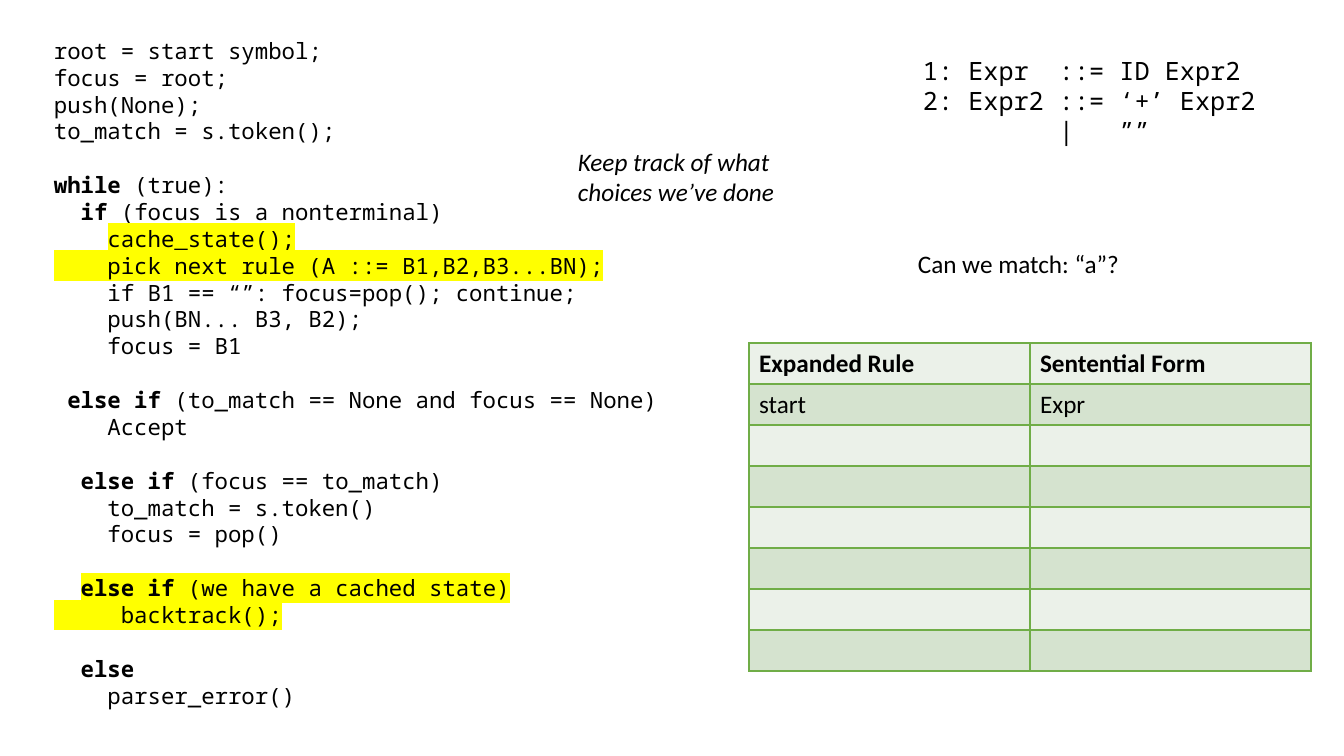
from lxml import etree
from pptx import Presentation
from pptx import util as u
from pptx.dml.color import RGBColor
from pptx.oxml import ns

MONO, SANS = "Noto Sans Mono", "Calibri"
PLAIN, BOLD = {}, {"bold": True}
MARK, BOLD_MARK = {"mark": "FFFF00"}, {"bold": True, "mark": "FFFF00"}

# Blocks of code, set apart by a one-line gap; a line is a list of (text, format).
CODE = [
    [
        [("root = start symbol;", PLAIN)],
        [("focus = root;", PLAIN)],
        [("push(None);", PLAIN)],
        [("to_match = s.token();", PLAIN)],
    ],
    [
        [("while", BOLD), (" (true):", PLAIN)],
        [("  ", PLAIN), ("if", BOLD), (" (focus is a nonterminal)", PLAIN)],
        [("    ", PLAIN), ("cache_state();", MARK)],
        [("    pick next rule (A ::= B1,B2,B3...BN);", MARK)],
        [("    if B1 == “”: focus=pop(); continue;", PLAIN)],
        [("    push(BN... B3, B2);", PLAIN)],
        [("    focus = B1", PLAIN)],
    ],
    [
        [(" else if ", BOLD), ("(to_match == None and focus == None)", PLAIN)],
        [("    Accept", PLAIN)],
    ],
    [
        [("  else if ", BOLD), ("(focus == to_match)", PLAIN)],
        [("    to_match = s.token()", PLAIN)],
        [("    focus = pop()", PLAIN)],
    ],
    [
        [("  ", PLAIN), ("else if ", BOLD_MARK), ("(we have a cached state)", MARK)],
        [("     backtrack();", MARK)],
    ],
    [
        [("  else", BOLD)],
        [("    parser_error()", PLAIN)],
    ],
]
GRAMMAR = [[
    [("1: Expr  ::= ID Expr2", PLAIN)],
    [("2: Expr2 ::= ‘+’ Expr2", PLAIN)],
    [("         |   ””", PLAIN)],
]]
RULES = [("Expanded Rule", "Sentential Form"), ("start", "Expr")] + [("", "")] * 6


def px(n):
    return u.Emu(round(n * 914400 / 100.8))


def rgb(value):
    return RGBColor.from_string(value)


def add_run(p, content, size=18, font=SANS, color="000000", bold=False,
            italic=False, mark=None):
    r = p.add_run()
    r.text = content
    f = r.font
    f.size, f.name, f.bold, f.italic = u.Pt(size), font, bold, italic
    f.color.rgb = rgb(color)
    if mark:
        highlight = etree.Element(ns.qn("a:highlight"))
        etree.SubElement(highlight, ns.qn("a:srgbClr"), val=mark)
        r._r.rPr.find(ns.qn("a:solidFill")).addnext(highlight)


def set_borders(cell, color, width):
    tcPr = cell._tc.get_or_add_tcPr()
    for i, side in enumerate(("lnL", "lnR", "lnT", "lnB")):
        ln = etree.Element(ns.qn(f"a:{side}"), w=str(u.Pt(width)))
        fill = etree.SubElement(ln, ns.qn("a:solidFill"))
        etree.SubElement(fill, ns.qn("a:srgbClr"), val=color)
        tcPr.insert(i, ln)


class Deck:
    border = "70AD47"
    bands = ("EBF1E9", "D5E3CF")

    def __init__(self):
        self.prs = Presentation()
        self.prs.slide_width, self.prs.slide_height = px(1344), px(756)
        self.s = self.prs.slides.add_slide(self.prs.slide_layouts[6])

    def frame(self, x, y, w, h, wrap=True):
        tf = self.s.shapes.add_textbox(px(x), px(y), px(w), px(h)).text_frame
        tf.word_wrap = wrap
        return tf

    def note(self, x, y, w, h, content, wrap=True, **fmt):
        add_run(self.frame(x, y, w, h, wrap).paragraphs[0], content, **fmt)

    def code(self, x, y, w, h, blocks, size, pitch):
        """Set blocks of code with a fixed line pitch in points."""
        tf = self.frame(x, y, w, h)
        p = tf.paragraphs[0]
        for b, block in enumerate(blocks):
            for n, line in enumerate(block):
                if b or n:
                    p = tf.add_paragraph()
                p.line_spacing = u.Pt(pitch)
                if b and not n:
                    p.space_before = u.Pt(pitch)
                for content, fmt in line:
                    add_run(p, content, size=size, font=MONO, **fmt)

    def table(self, x, y, w, row_h, rows):
        n_cols = len(rows[0])
        tbl = self.s.shapes.add_table(len(rows), n_cols, px(x), px(y), px(w),
                                      px(row_h * len(rows))).table
        tbl.first_row = tbl.horz_banding = False
        for i, row in enumerate(rows):
            for j, content in enumerate(row):
                cell = tbl.cell(i, j)
                cell.fill.solid()
                cell.fill.fore_color.rgb = rgb(self.bands[i % 2])
                set_borders(cell, self.border, 1)
                if content:
                    add_run(cell.text_frame.paragraphs[0], content, bold=i == 0)


def main():
    deck = Deck()
    deck.code(44, 32, 646, 716, CODE, size=16, pitch=19.2)
    deck.table(749, 343, 562, 41, RULES)
    deck.code(913, 51, 431, 102, GRAMMAR, size=18, pitch=21.4)
    deck.note(908, 243, 224, 40, "Can we match: “a”?", wrap=False)
    deck.note(568, 141, 273, 72, "Keep track of what choices we’ve done", italic=True)
    deck.prs.save("out.pptx")


if __name__ == "__main__":
    main()
